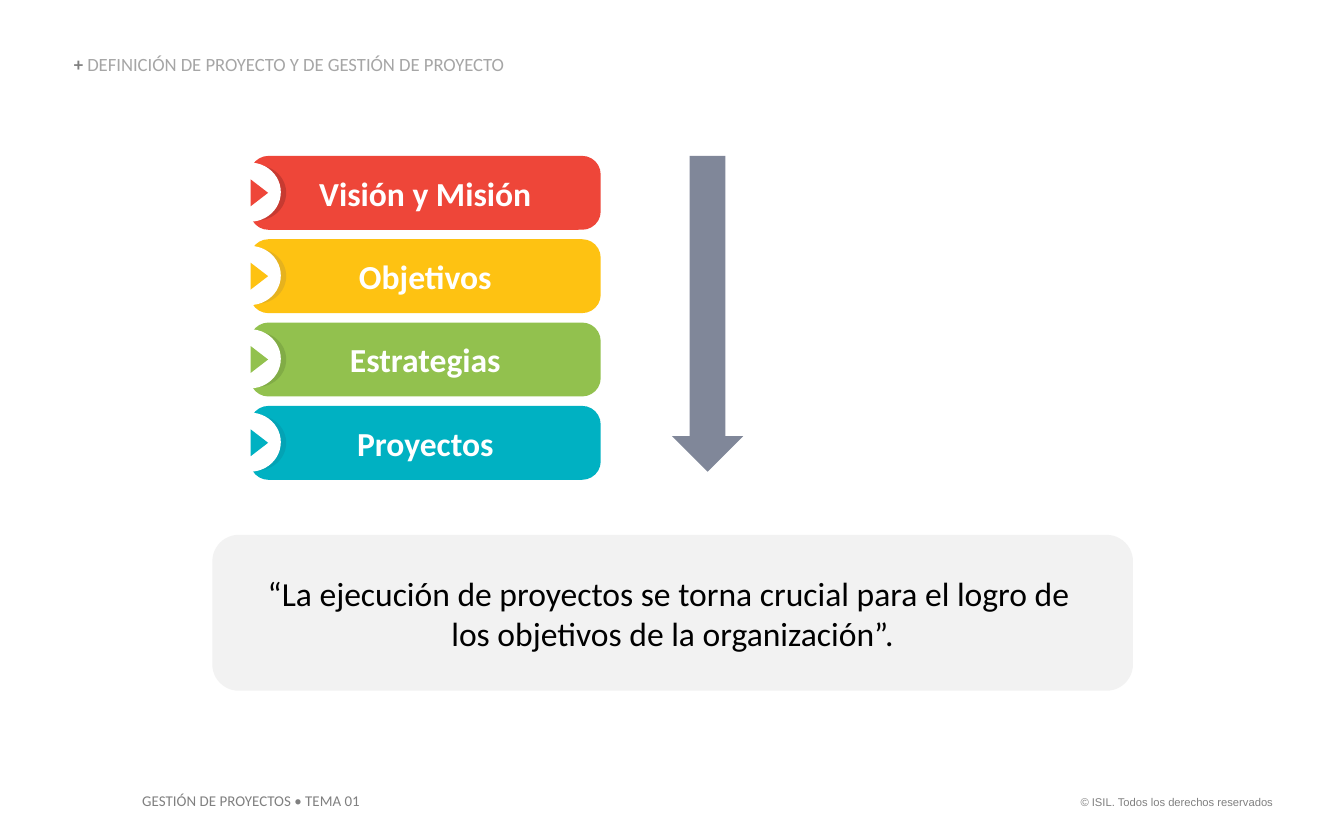
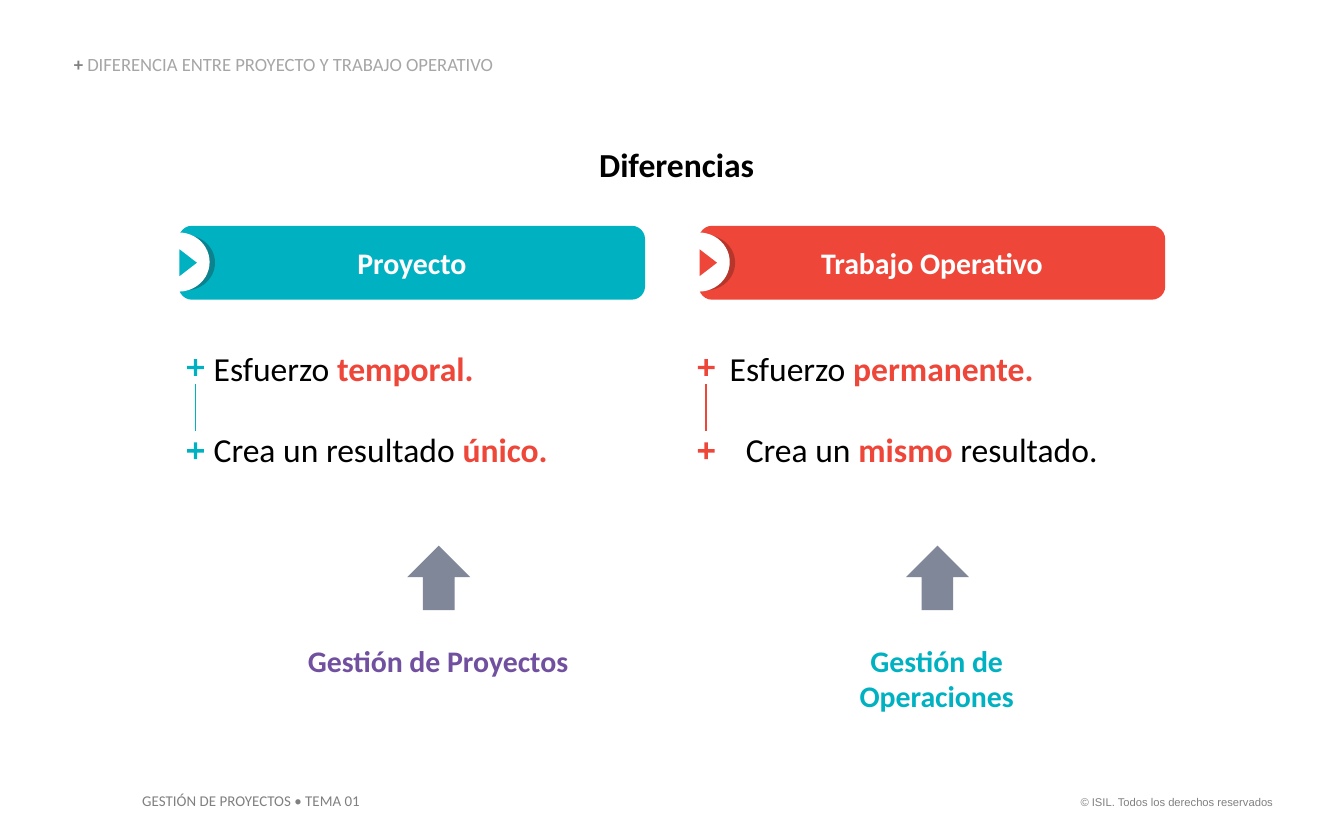
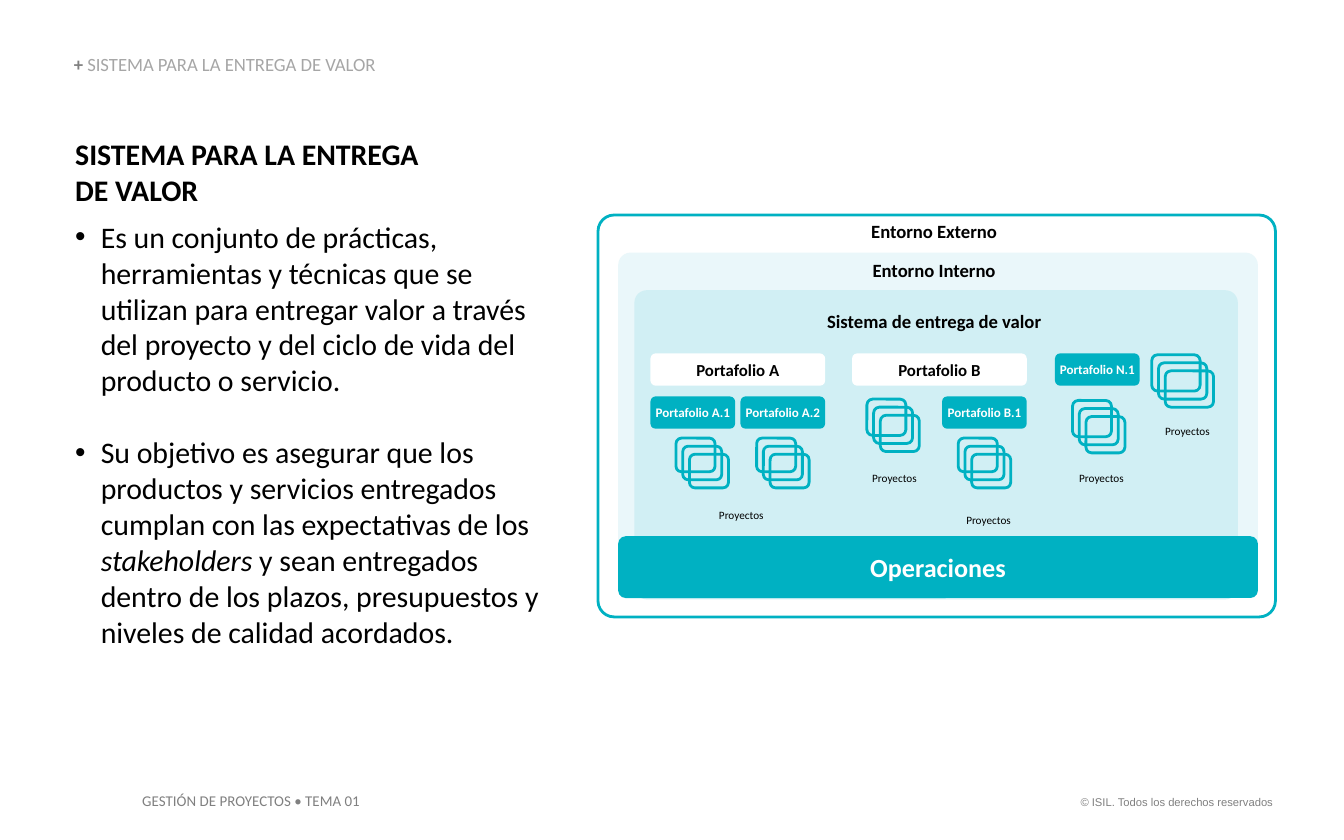
"""Build three project-management slides: strategy cascade, differences and value delivery."""
from dataclasses import dataclass
from typing import Any, Optional

import pptx
import pptx.dml.color
import pptx.enum.shapes
import pptx.enum.text
import pptx.oxml
import pptx.oxml.ns
import pptx.util

Inches = pptx.util.Inches
Pt = pptx.util.Pt
RGBColor = pptx.dml.color.RGBColor
SHAPE = pptx.enum.shapes.MSO_SHAPE
ALIGN = pptx.enum.text.PP_ALIGN
ANCHOR = pptx.enum.text.MSO_ANCHOR

BLACK = RGBColor(0x00, 0x00, 0x00)
WHITE = RGBColor(0xFF, 0xFF, 0xFF)
GRAY = RGBColor(0x80, 0x80, 0x80)
TITLE_GRAY = RGBColor(0xA6, 0xA6, 0xA6)
QUOTE_GRAY = RGBColor(0xF2, 0xF2, 0xF2)
SLATE = RGBColor(0x80, 0x87, 0x99)
RED = RGBColor(0xEE, 0x46, 0x39)
SHADED_RED = RGBColor(0xC7, 0x3A, 0x31)
DARK_RED = RGBColor(0xB7, 0x36, 0x2B)
YELLOW = RGBColor(0xFE, 0xC2, 0x12)
SHADED_YELLOW = RGBColor(0xE6, 0xB2, 0x1E)
GREEN = RGBColor(0x92, 0xC1, 0x4E)
SHADED_GREEN = RGBColor(0x81, 0xAC, 0x46)
TEAL = RGBColor(0x00, 0xB1, 0xC2)
SHADED_TEAL = RGBColor(0x03, 0xA3, 0xB5)
DARK_TEAL = RGBColor(0x0B, 0x82, 0x8E)
PALE_TEAL = RGBColor(0xD1, 0xEF, 0xF4)
PURPLE = RGBColor(0x71, 0x50, 0xA0)


@dataclass(frozen=True)
class Box:
    """Position and size in inches."""
    left: float
    top: float
    width: float
    height: float

    def lengths(self) -> tuple:
        """Return the four values as lengths."""
        return tuple(Inches(v) for v in (self.left, self.top, self.width, self.height))


@dataclass(frozen=True)
class Run:
    """Stretch of text with one format."""
    text: str
    size: float
    color: RGBColor = BLACK
    bold: bool = False
    italic: bool = False
    font: str = "Calibri"


@dataclass(frozen=True)
class Para:
    """Paragraph made of runs."""
    runs: tuple
    align: Any = ALIGN.LEFT
    before: float = 0
    spacing: Optional[float] = None
    indent: float = 0
    bullet: bool = False


@dataclass(frozen=True)
class Band:
    """Rounded band with a round arrow badge on its left edge."""
    label: str
    box: Box
    color: RGBColor
    shade: RGBColor
    size: float
    corner: float


@dataclass(frozen=True)
class Contrast:
    """One side of the comparison."""
    band: Band
    points: tuple
    points_left: float
    plus_left: float
    arrow_left: float
    field: Run
    field_left: float


def centered(*runs: Run) -> Para:
    """Return a centred paragraph."""
    return Para(runs, ALIGN.CENTER)


def add_bullet(paragraph: Any) -> None:
    """Give a paragraph a black hanging bullet."""
    properties = paragraph._p.get_or_add_pPr()
    properties.set("indent", str(-Inches(0.19)))
    namespace = pptx.oxml.ns.nsdecls("a")
    for markup in (f'<a:buClr {namespace}><a:srgbClr val="{BLACK}"/></a:buClr>',
                   f'<a:buFont {namespace} typeface="Arial"/>',
                   f'<a:buChar {namespace} char="•"/>'):
        properties.append(pptx.oxml.parse_xml(markup))


def write(shape: Any, paras: tuple, side: float = 0.1, edge: float = 0.05,
          anchor: Any = ANCHOR.TOP, wrap: bool = True) -> None:
    """Fill a shape with formatted paragraphs."""
    frame = shape.text_frame
    frame.word_wrap = wrap
    frame.vertical_anchor = anchor
    frame.margin_left = frame.margin_right = Inches(side)
    frame.margin_top = frame.margin_bottom = Inches(edge)
    for index, para in enumerate(paras):
        paragraph = frame.add_paragraph() if index else frame.paragraphs[0]
        paragraph.alignment = para.align
        if para.before:
            paragraph.space_before = Pt(para.before)
        if para.spacing:
            paragraph.line_spacing = para.spacing
        if para.indent:
            paragraph._p.get_or_add_pPr().set("marL", str(Inches(para.indent)))
        if para.bullet:
            add_bullet(paragraph)
        for piece in para.runs:
            for number, line in enumerate(piece.text.split("\n")):
                if number:
                    paragraph.add_line_break()
                run = paragraph.add_run()
                run.text = line
                run.font.size = Pt(piece.size)
                run.font.name = piece.font
                run.font.bold = piece.bold
                run.font.italic = piece.italic
                run.font.color.rgb = piece.color


def add_text(shapes: Any, box: Box, *paras: Para, **layout: Any) -> None:
    """Add a text box that grows with its text."""
    text = shapes.add_textbox(*box.lengths())
    write(text, paras, **layout)
    text.text_frame.auto_size = pptx.enum.text.MSO_AUTO_SIZE.SHAPE_TO_FIT_TEXT


def add_figure(shapes: Any, kind: Any, box: Box, fill: Optional[RGBColor] = None,
               corner: Optional[float] = None, outline: Optional[RGBColor] = None) -> Any:
    """Add a flat preset shape."""
    figure = shapes.add_shape(kind, *box.lengths())
    figure.shadow.inherit = False
    if fill is None:
        figure.fill.background()
    else:
        figure.fill.solid()
        figure.fill.fore_color.rgb = fill
    if outline is None:
        figure.line.fill.background()
    else:
        figure.line.color.rgb = outline
        figure.line.width = Pt(1.5)
    if corner is not None:
        figure.adjustments[0] = corner
    return figure


def add_label(shapes: Any, box: Box, fill: RGBColor, corner: float, run: Run,
              side: float = 0.1) -> None:
    """Add a rounded rectangle with centred text."""
    label = add_figure(shapes, SHAPE.ROUNDED_RECTANGLE, box, fill, corner)
    write(label, (centered(run),), side=side, anchor=ANCHOR.MIDDLE)


def add_band(shapes: Any, band: Band) -> None:
    """Draw a band and its badge."""
    add_label(shapes, band.box, band.color, band.corner,
              Run(band.label, band.size, WHITE, True))
    badge = shapes.add_group_shape().shapes
    left, top = band.box.left, band.box.top
    add_figure(badge, SHAPE.OVAL, Box(left - 0.16, top + 0.07, 0.43, 0.41), band.shade)
    add_figure(badge, SHAPE.OVAL, Box(left - 0.23, top + 0.05, 0.46, 0.44), WHITE)
    pointer = add_figure(badge, SHAPE.ISOSCELES_TRIANGLE,
                         Box(left - 0.03, top + 0.21, 0.2, 0.13), band.color)
    pointer.rotation = 90


def add_slide(deck: Any, title: str, title_width: float = 3.34) -> Any:
    """Add a blank slide with title and footers and return its shapes."""
    shapes = deck.slides.add_slide(deck.slide_layouts[6]).shapes
    add_text(shapes, Box(7.91, 5.87, 1.66, 0.2),
             Para((Run("© ISIL. Todos los derechos reservados", 6, GRAY, font="Arial"),),
                  ALIGN.RIGHT), wrap=False)
    add_text(shapes, Box(0.96, 5.84, 1.85, 0.24),
             Para((Run("GESTIÓN DE PROYECTOS • TEMA 01", 8, GRAY),)), wrap=False)
    add_text(shapes, Box(0.55, 0.41, title_width, 0.15),
             Para((Run("+ ", 10, GRAY, True), Run(title, 10, TITLE_GRAY)), spacing=0.9),
             side=0, edge=0, anchor=ANCHOR.BOTTOM)
    return shapes


def build_cascade(deck: Any) -> None:
    """Build the slide that leads from vision to projects."""
    shapes = add_slide(deck, "DEFINICIÓN DE PROYECTO Y DE GESTIÓN DE PROYECTO")
    levels = (("Visión y Misión", RED, SHADED_RED), ("Objetivos", YELLOW, SHADED_YELLOW),
              ("Estrategias", GREEN, SHADED_GREEN), ("Proyectos", TEAL, SHADED_TEAL))
    for row, (name, color, shade) in enumerate(levels):
        box = Box(1.86, 1.16 + 0.62 * row, 2.61, 0.55)
        add_band(shapes, Band(name, box, color, shade, 18, 0.25))
    add_label(shapes, Box(1.58, 3.98, 6.85, 1.16), QUOTE_GRAY, 0.17,
              Run("“La ejecución de proyectos se torna crucial para el logro de \n"
                  "los objetivos de la organización”.", 18))
    add_figure(shapes, SHAPE.DOWN_ARROW, Box(5, 1.16, 0.53, 2.35), SLATE)


def add_contrast(shapes: Any, side: Contrast) -> None:
    """Draw one side of the comparison."""
    add_band(shapes, side.band)
    add_text(shapes, Box(side.points_left, 2.59, 3.14, 0.91), *side.points, side=0, edge=0)
    for top in (2.65, 3.27):
        add_figure(shapes, SHAPE.MATH_PLUS, Box(side.plus_left, top, 0.17, 0.17),
                   side.band.color, 0.15)
    middle = Inches(side.plus_left + 0.085)
    link = shapes.add_connector(pptx.enum.shapes.MSO_CONNECTOR.STRAIGHT,
                                middle, Inches(2.86), middle, Inches(3.21))
    link.line.color.rgb = side.band.color
    link.line.width = Pt(1)
    link._element.spPr.append(
        pptx.oxml.parse_xml(f'<a:effectLst {pptx.oxml.ns.nsdecls("a")}/>'))
    add_figure(shapes, SHAPE.UP_ARROW, Box(side.arrow_left, 4.06, 0.47, 0.48), SLATE)
    add_text(shapes, Box(side.field_left, 4.73, 2.22, 0.37), centered(side.field))


def build_differences(deck: Any) -> None:
    """Build the comparison of projects and operations."""
    shapes = add_slide(deck, "DIFERENCIA ENTRE PROYECTO Y TRABAJO OPERATIVO")
    add_text(shapes, Box(2.55, 1.02, 4.97, 0.4), centered(Run("Diferencias", 18, bold=True)))
    project_points = (
        Para((Run("Esfuerzo ", 18), Run("temporal.", 18, RED, True))),
        Para((Run("Crea un resultado ", 18), Run("único.", 18, RED, True)), before=21.5))
    operation_points = (
        Para((Run("Esfuerzo ", 18), Run("permanente.", 18, RED, True))),
        Para((Run("Crea un ", 18), Run("mismo", 18, RED, True), Run(" resultado.", 18)),
             before=21.5, indent=0.12))
    add_contrast(shapes, Contrast(
        Band("Proyecto", Box(1.33, 1.68, 3.47, 0.55), TEAL, DARK_TEAL, 16, 0.18),
        project_points, 1.59, 1.37, 3.03,
        Run("Gestión de Proyectos", 16, PURPLE, True), 2.15))
    add_contrast(shapes, Contrast(
        Band("Trabajo Operativo", Box(5.2, 1.68, 3.47, 0.55), RED, DARK_RED, 16, 0.18),
        operation_points, 5.43, 5.17, 6.74,
        Run("Gestión de Operaciones", 16, TEAL, True), 5.86))


def add_project_stack(shapes: Any, first: Box) -> None:
    """Draw three overlapping project cards."""
    for shift_x, shift_y in ((0, 0), (0.05, 0.06), (0.1, 0.12)):
        card = Box(first.left + shift_x, first.top + shift_y, first.width, first.height)
        add_figure(shapes, SHAPE.ROUNDED_RECTANGLE, card, corner=0.16, outline=TEAL)


def add_delivery_system(shapes: Any) -> None:
    """Draw the nested environments with their portfolios."""
    inner = add_figure(shapes, SHAPE.ROUNDED_RECTANGLE, Box(4.6, 1.88, 4.76, 2.3),
                       PALE_TEAL, 0.04)
    tint = inner._element.spPr.find(".//" + pptx.oxml.ns.qn("a:srgbClr"))
    tint.append(pptx.oxml.parse_xml(
        f'<a:alpha {pptx.oxml.ns.nsdecls("a")} val="44000"/>'))
    add_figure(shapes, SHAPE.ROUNDED_RECTANGLE, Box(4.72, 2.16, 4.49, 2.3), PALE_TEAL, 0.04)
    for name, left in (("A", 4.84), ("B", 6.34)):
        add_label(shapes, Box(left, 2.63, 1.3, 0.24), WHITE, 0.16,
                  Run(f"Portafolio {name}", 9, bold=True), side=0)
    for name, left, top in (("A.1", 4.84, 2.95), ("A.2", 5.51, 2.95),
                            ("B.1", 7.01, 2.95), ("N.1", 7.85, 2.63)):
        add_label(shapes, Box(left, top, 0.63, 0.24), TEAL, 0.16,
                  Run(f"Portafolio {name}", 7, WHITE, True), side=0)
    for first in (Box(5.03, 3.26, 0.29, 0.25), Box(5.63, 3.26, 0.29, 0.25),
                  Box(7.13, 3.26, 0.29, 0.25), Box(6.45, 2.97, 0.29, 0.27),
                  Box(7.98, 2.98, 0.29, 0.27), Box(8.57, 2.64, 0.36, 0.27)):
        add_project_stack(shapes, first)
    for left, top in ((5.19, 3.73), (7.03, 3.77), (6.33, 3.46), (7.87, 3.46), (8.51, 3.11)):
        add_text(shapes, Box(left, top, 0.65, 0.23), centered(Run("Proyectos", 6)), side=0)
    for name, top in (("Sistema de entrega de valor", 2.26), ("Entorno Interno", 1.88),
                      ("Entorno Externo", 1.59)):
        add_text(shapes, Box(6.03, top, 1.84, 0.27), centered(Run(name, 10, bold=True)), side=0)
    add_figure(shapes, SHAPE.ROUNDED_RECTANGLE, Box(4.45, 1.6, 5.04, 2.99),
               corner=0.04, outline=TEAL)
    add_label(shapes, Box(4.6, 3.99, 4.76, 0.46), TEAL, 0.12,
              Run("Operaciones", 14, WHITE, True))


def build_value_delivery(deck: Any) -> None:
    """Build the slide on the value delivery system."""
    shapes = add_slide(deck, "SISTEMA PARA LA ENTREGA DE VALOR", 5.86)
    add_text(
        shapes, Box(0.56, 1.01, 3.55, 3.85),
        Para((Run("SISTEMA PARA LA ENTREGA \nDE VALOR", 16, bold=True),)),
        Para((Run("Es un conjunto de prácticas, herramientas y técnicas que se utilizan para "
                  "entregar valor a través del proyecto y del ciclo de vida del producto o "
                  "servicio.", 16),), before=6, indent=0.19, bullet=True),
        Para((Run("Su objetivo es asegurar que los productos y servicios entregados cumplan "
                  "con las expectativas de los ", 16),
              Run("stakeholders", 16, italic=True),
              Run(" y sean entregados dentro de los plazos, presupuestos y niveles de "
                  "calidad acordados.", 16)), before=19.5, indent=0.19, bullet=True),
        side=0, edge=0)
    add_delivery_system(shapes.add_group_shape().shapes)


def main() -> None:
    """Build and save the deck."""
    deck = pptx.Presentation()
    deck.slide_width = Inches(10)
    deck.slide_height = Inches(6.25)
    build_cascade(deck)
    build_differences(deck)
    build_value_delivery(deck)
    deck.save("out.pptx")


if __name__ == "__main__":
    main()
